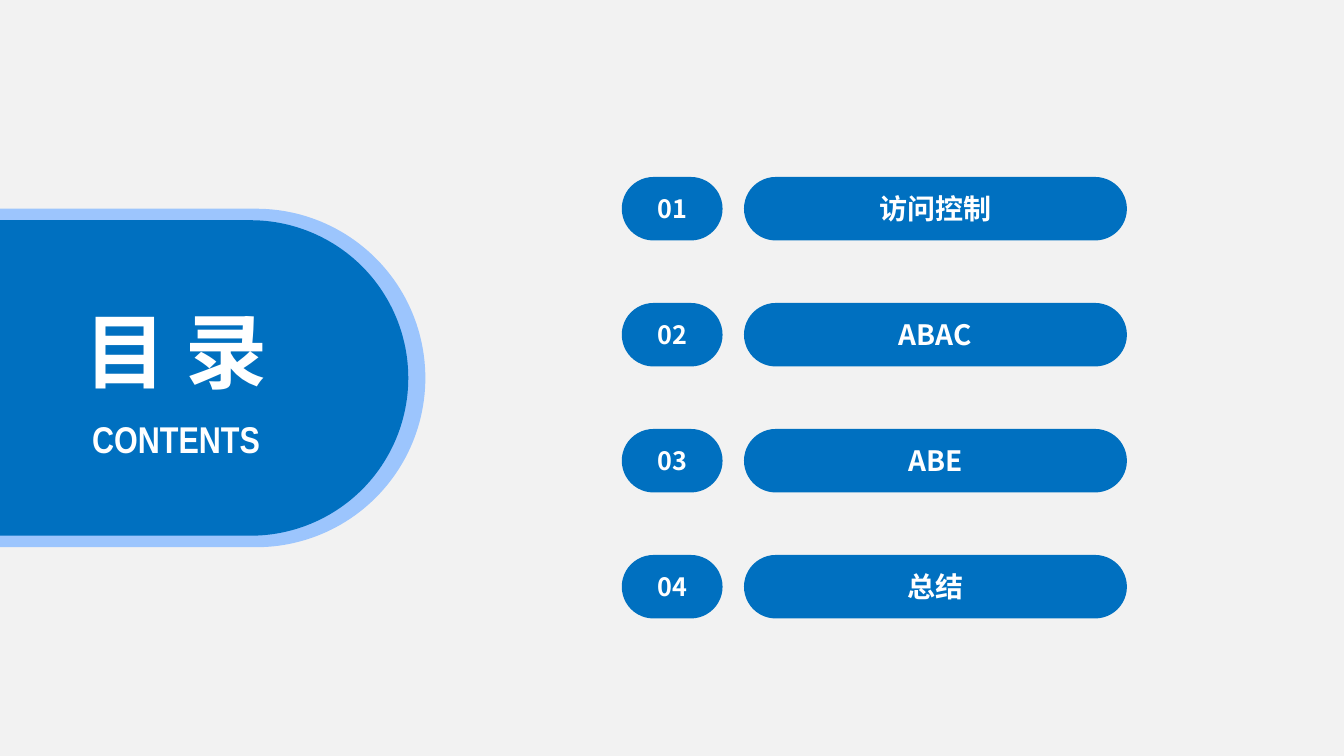
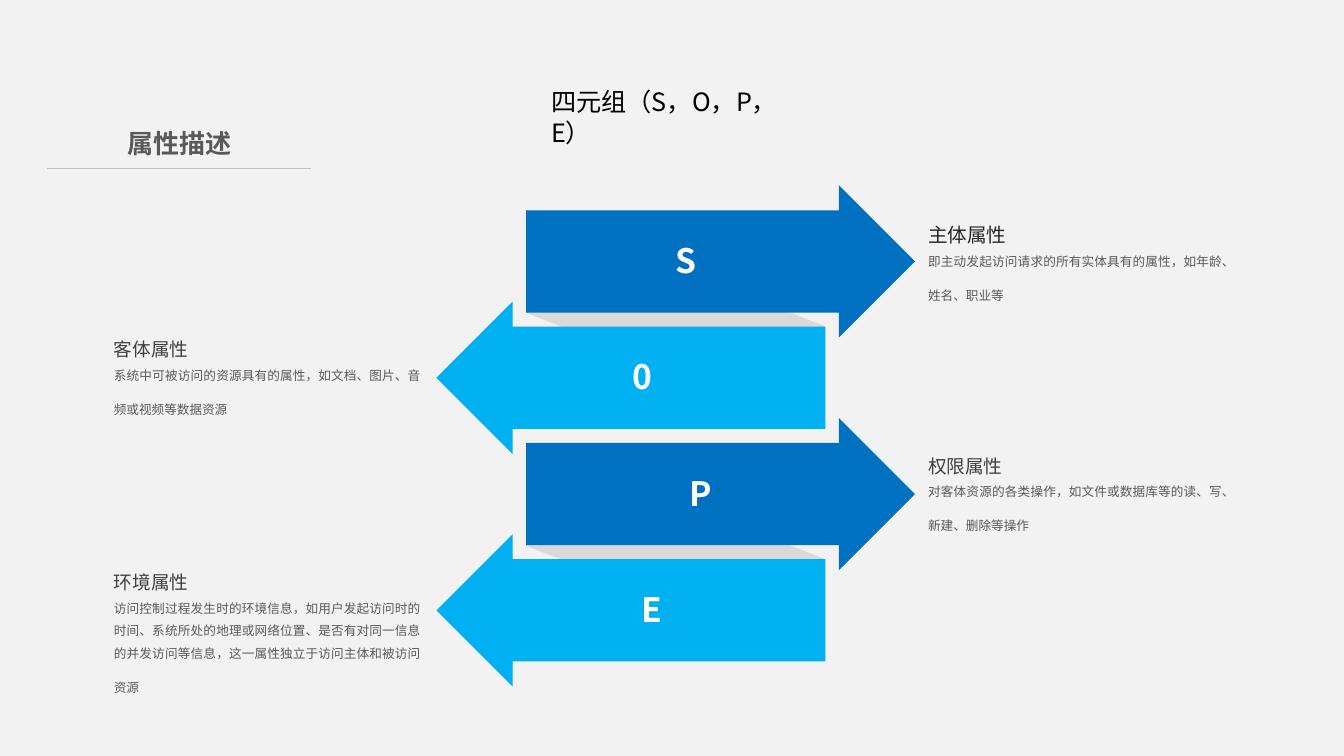
from lxml import etree
from pptx import Presentation
from pptx.dml.color import RGBColor
from pptx.enum.shapes import MSO_CONNECTOR, MSO_SHAPE
from pptx.enum.text import MSO_ANCHOR, MSO_AUTO_SIZE, PP_ALIGN
from pptx.oxml.ns import qn
from pptx.util import Cm, Pt

BLUE = RGBColor(0x00, 0x70, 0xC0)
SKY = RGBColor(0x00, 0xB0, 0xF0)
PALE_BLUE = RGBColor(0x9C, 0xC5, 0xFD)
PAPER = RGBColor(0xF2, 0xF2, 0xF2)
SHADE = RGBColor(0xD9, 0xD9, 0xD9)
RULE = RGBColor(0xBF, 0xBF, 0xBF)
INK = RGBColor(0x26, 0x26, 0x26)
DARK_GREY = RGBColor(0x40, 0x40, 0x40)
GREY = RGBColor(0x59, 0x59, 0x59)
BLACK = RGBColor(0x00, 0x00, 0x00)
WHITE = RGBColor(0xFF, 0xFF, 0xFF)
SANS = "Noto Sans CJK SC"
NARROW = "Arial Narrow"


def add_block(page, preset, left, top, width, height, color, adjustments):
    """Add a flat preset shape without outline or shadow."""
    block = page.shapes.add_shape(preset, Cm(left), Cm(top), Cm(width), Cm(height))
    block.shadow.inherit = False
    block.fill.solid()
    block.fill.fore_color.rgb = color
    block.line.fill.background()
    for index, value in enumerate(adjustments):
        block.adjustments[index] = value
    return block


def write(box, lines, place=None, margins=None, align=PP_ALIGN.CENTER,
          anchor=MSO_ANCHOR.TOP, wrap=True, spacing=None):
    """Place a box and fill it with lines of (text, size, color, bold, font)."""
    if place:
        box.left, box.top, box.width, box.height = [Cm(length) for length in place]
    frame = box.text_frame
    frame.auto_size = MSO_AUTO_SIZE.NONE
    frame.word_wrap = wrap
    frame.vertical_anchor = anchor
    if margins:
        frame.margin_left = frame.margin_right = Cm(margins[0])
        frame.margin_top = frame.margin_bottom = Cm(margins[1])
    for index, (text, size, color, bold, font) in enumerate(lines):
        para = frame.add_paragraph() if index else frame.paragraphs[0]
        para.text = text
        para.alignment = align
        para.line_spacing = spacing
        para.font.size = Pt(size)
        para.font.bold = bold
        para.font.color.rgb = color
        para.font.name = font
        east_asian = etree.SubElement(para.font._element, qn("a:ea"))
        east_asian.set("typeface", font)
    return frame


deck = Presentation()
deck.slide_width, deck.slide_height = Cm(33.87), Cm(19.05)
background = deck.slide_master.background.fill
background.solid()
background.fore_color.rgb = PAPER
title_only = deck.slide_layouts[5]

# Contents
page = deck.slides.add_slide(title_only)
add_block(page, MSO_SHAPE.ROUNDED_RECTANGLE, -4.98, 5.26, 15.7, 8.53, PALE_BLUE, [0.5])
add_block(page, MSO_SHAPE.ROUNDED_RECTANGLE, -4.32, 5.55, 14.61, 7.95, BLUE, [0.5])
for index, topic in enumerate(["访问控制", "ABAC", "ABE", "总结"]):
    top = 4.46 + 3.175 * index
    for left, width, text, size in [(15.67, 2.54, f"{index + 1:02}", 18),
                                    (18.75, 9.65, topic, 20)]:
        pill = add_block(page, MSO_SHAPE.ROUNDED_RECTANGLE, left, top, width, 1.6, BLUE, [0.5])
        write(pill, [(text, size, WHITE, True, SANS)], anchor=MSO_ANCHOR.MIDDLE)
subtitle = page.shapes.add_textbox(0, 0, 0, 0)
write(subtitle, [("CONTENTS", 26.6, WHITE, True, NARROW)], (1.57, 10.36, 5.74, 1.4), wrap=False)
title = page.shapes.title
write(title, [("目 录", 58.6, WHITE, True, SANS)], (1.78, 7.44, 5.31, 2.77), wrap=False)
page.shapes.element.append(title.element)  # bring the title in front of the panel

# Attribute description
page = deck.slides.add_slide(title_only)
write(page.shapes.title, [("属性描述", 18.6, GREY, True, SANS)],
      (1.9, 3.07, 5.26, 1.07), margins=(0, 0.13))
rule = page.shapes.add_connector(MSO_CONNECTOR.STRAIGHT, Cm(1.19), Cm(4.24), Cm(7.85), Cm(4.24))
rule.line.color.rgb = RULE
rule.line.width = Pt(0.5)
etree.SubElement(rule.element.spPr, qn("a:effectLst"))

for top in (10.16, 4.29):
    fold = add_block(page, MSO_SHAPE.PARALLELOGRAM, 14.27, top, 5.51, 7.52, SHADE, [0.53])
    fold.rotation = 270

attributes = [
    ("S", 6.99, "主体属性", 14, INK,
     "即主动发起访问请求的所有实体具有的属性，如年龄、姓名、职业等", 2.26),
    ("0", 6.91, "客体属性", 13.3, DARK_GREY,
     "系统中可被访问的资源具有的属性，如文档、图片、音频或视频等数据资源", 2.24),
    ("P", 7.72, "权限属性", 13.3, DARK_GREY,
     "对客体资源的各类操作，如文件或数据库等的读、写、新建、删除等操作", 2.24),
    ("E", 7.39, "环境属性", 13.3, DARK_GREY,
     "访问控制过程发生时的环境信息，如用户发起访问时的时间、系统所处的地理或网络位置、"
     "是否有对同一信息的并发访问等信息，这一属性独立于访问主体和被访问资源", 3.45),
]
sides = [
    (MSO_SHAPE.RIGHT_ARROW, BLUE, 13.26, 13.79, 23.39),
    (MSO_SHAPE.LEFT_ARROW, SKY, 11.0, 12.73, 2.87),
]
for index, (letter, letter_width, heading, size, color, detail, height) in enumerate(attributes):
    arrow, fill, arrow_left, letter_left, note_left = sides[index % 2]
    top = 4.67 + 2.93 * index
    add_block(page, arrow, arrow_left, top, 9.8, 3.84, fill, [0.67, 0.5])
    write(page.shapes.add_textbox(0, 0, 0, 0), [(letter, 24, WHITE, True, SANS)],
          (letter_left, top + 1.38, letter_width, 1.02), margins=(0, 0))
    note = write(page.shapes.add_textbox(0, 0, 0, 0),
                 [(heading, size, color, False, SANS), (detail, 9, GREY, False, SANS)],
                 (note_left, top + 0.64, 7.72, height), margins=(0, 0),
                 align=PP_ALIGN.JUSTIFY, spacing=1.5)
    span = note.paragraphs[1].add_run()
    span.text = " "
    span.font.size = Pt(14)

write(page.shapes.add_textbox(0, 0, 0, 0), [("四元组（S，O，P，E）", 18, BLACK, False, SANS)],
      (13.64, 2.06, 6.58, 1.04), align=PP_ALIGN.LEFT)

deck.save("out.pptx")
